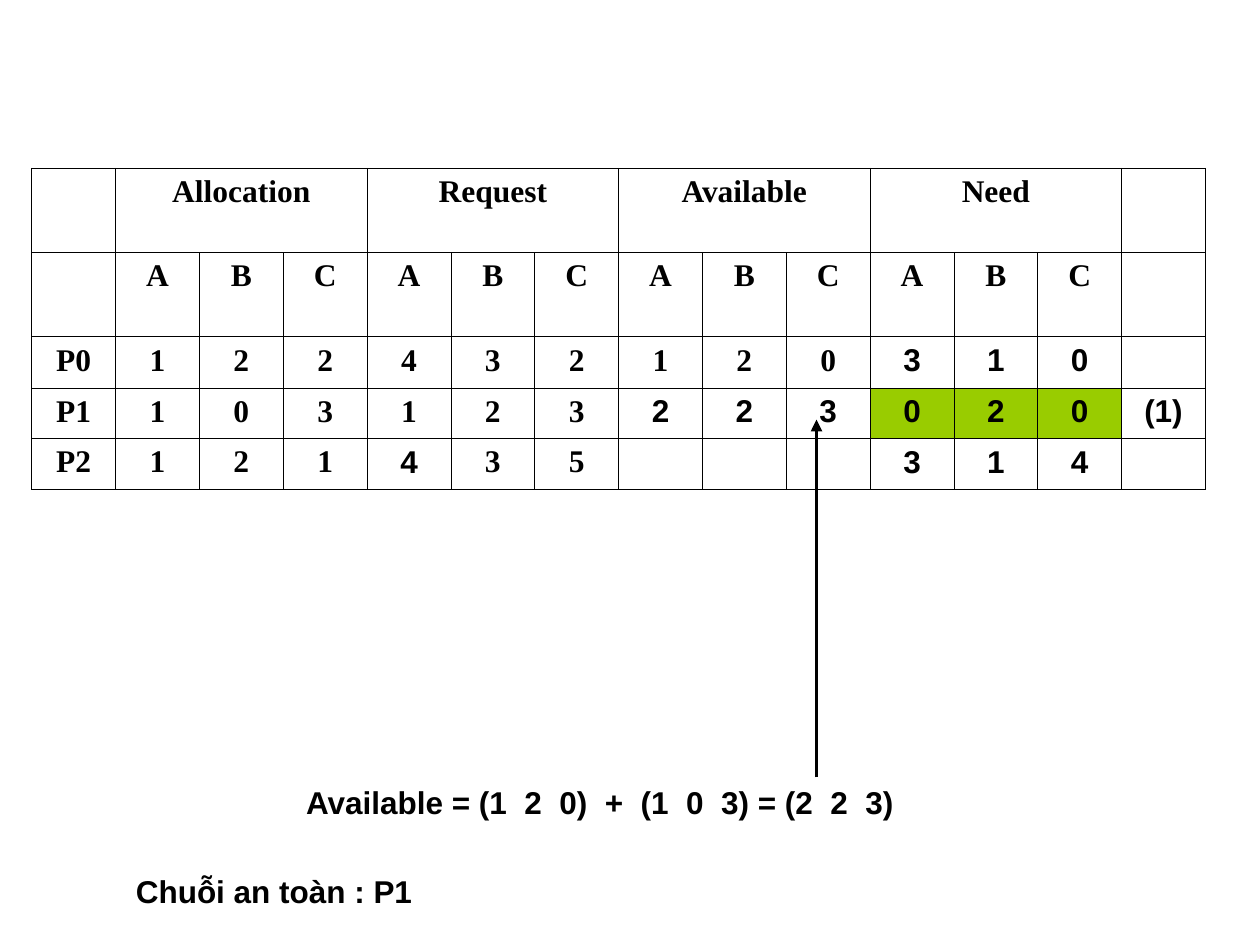
from lxml.etree import SubElement
from pptx import Presentation
from pptx.dml.color import RGBColor
from pptx.enum.shapes import MSO_CONNECTOR
from pptx.enum.text import MSO_AUTO_SIZE, PP_ALIGN
from pptx.oxml import parse_xml
from pptx.oxml.ns import nsdecls, qn
from pptx.util import Cm, Pt

COLORS = {"ink": "000000", "chosen": "99CC00"}
SERIF, SANS = "Times New Roman", "Arial"

GROUPS = ["Allocation", "Request", "Available", "Need"]
RESOURCES = ["A", "B", "C"]
PROCESSES = [
    ["P0", "1", "2", "2", "4", "3", "2", "1", "2", "0", "3", "1", "0", ""],
    ["P1", "1", "0", "3", "1", "2", "3", "2", "2", "3", "0", "2", "0", "(1)"],
    ["P2", "1", "2", "1", "4", "3", "5", "", "", "", "3", "1", "4", ""],
]
SANS_COLUMNS = {2: {10, 11, 12}, 3: set(range(7, 14)), 4: {4, 10, 11, 12}}
CHOSEN_ROW, CHOSEN_COLUMNS = 3, {10, 11, 12}
NOTES = [
    ("Available = (1  2  0)  +  (1  0  3) = (2  2  3)", 5.92, 15.67, 12.37),
    ("Chuỗi an toàn : P1", 2.49, 17.45, 6.25),
]
ROW_HEIGHTS = [1.7, 1.7, 1.02, 1.02, 1.02]
COLUMN_WIDTH = 1.69
TABLE_LEFT, TABLE_TOP = 0.64, 3.39
ARROW_X, ARROW_BOTTOM, ARROW_TOP = 16.46, 15.67, 8.46


def rgb(name):
    return RGBColor.from_string(COLORS[name])


def add_run(p, text, font):
    r = p.add_run()
    r.text = text
    r.font.name = font
    r.font.size = Pt(18)
    r.font.bold = True
    r.font.color.rgb = rgb("ink")


def add_borders(cell):
    tcPr = cell._tc.get_or_add_tcPr()
    for side in "LRTB":
        tcPr.append(parse_xml(
            f'<a:ln{side} {nsdecls("a")} w="{Pt(0.45)}"><a:solidFill>'
            f'<a:srgbClr val="{COLORS["ink"]}"/></a:solidFill></a:ln{side}>'))


def add_grid(s):
    header = [""] + [t for g in GROUPS for t in (g, "", "")] + [""]
    rows = [header, [""] + RESOURCES * len(GROUPS) + [""]] + PROCESSES
    table = s.shapes.add_table(
        len(rows), len(header), Cm(TABLE_LEFT), Cm(TABLE_TOP),
        Cm(COLUMN_WIDTH * len(header)), Cm(sum(ROW_HEIGHTS))).table
    table.first_row = table.horz_banding = False
    for column in table.columns:
        column.width = Cm(COLUMN_WIDTH)
    for row, height in zip(table.rows, ROW_HEIGHTS):
        row.height = Cm(height)
    for i in range(len(GROUPS)):
        first = 1 + i * len(RESOURCES)
        table.cell(0, first).merge(table.cell(0, first + len(RESOURCES) - 1))
    for i, row in enumerate(rows):
        for j, text in enumerate(row):
            cell = table.cell(i, j)
            add_borders(cell)
            if i == CHOSEN_ROW and j in CHOSEN_COLUMNS:
                cell.fill.solid()
                cell.fill.fore_color.rgb = rgb("chosen")
            else:
                cell.fill.background()
            if text:
                p = cell.text_frame.paragraphs[0]
                p.alignment = PP_ALIGN.CENTER
                add_run(p, text, SANS if j in SANS_COLUMNS.get(i, ()) else SERIF)


def add_note(s, text, left, top, width):
    tf = s.shapes.add_textbox(Cm(left), Cm(top), Cm(width), Cm(1.02)).text_frame
    tf.word_wrap = False
    tf.auto_size = MSO_AUTO_SIZE.SHAPE_TO_FIT_TEXT
    add_run(tf.paragraphs[0], text, SANS)


def add_arrow(s):
    arrow = s.shapes.add_connector(
        MSO_CONNECTOR.STRAIGHT, Cm(ARROW_X), Cm(ARROW_BOTTOM),
        Cm(ARROW_X), Cm(ARROW_TOP))
    arrow.line.color.rgb = rgb("ink")
    arrow.line.width = Pt(2.25)
    SubElement(arrow.line._get_or_add_ln(), qn("a:tailEnd"), type="triangle")
    SubElement(arrow._element.spPr, qn("a:effectLst"))


def main():
    prs = Presentation()
    prs.slide_width, prs.slide_height = Cm(25.4), Cm(19.05)
    s = prs.slides.add_slide(prs.slide_layouts[6])
    add_grid(s)
    add_note(s, *NOTES[0])
    add_arrow(s)
    add_note(s, *NOTES[1])
    prs.save("out.pptx")


if __name__ == "__main__":
    main()
